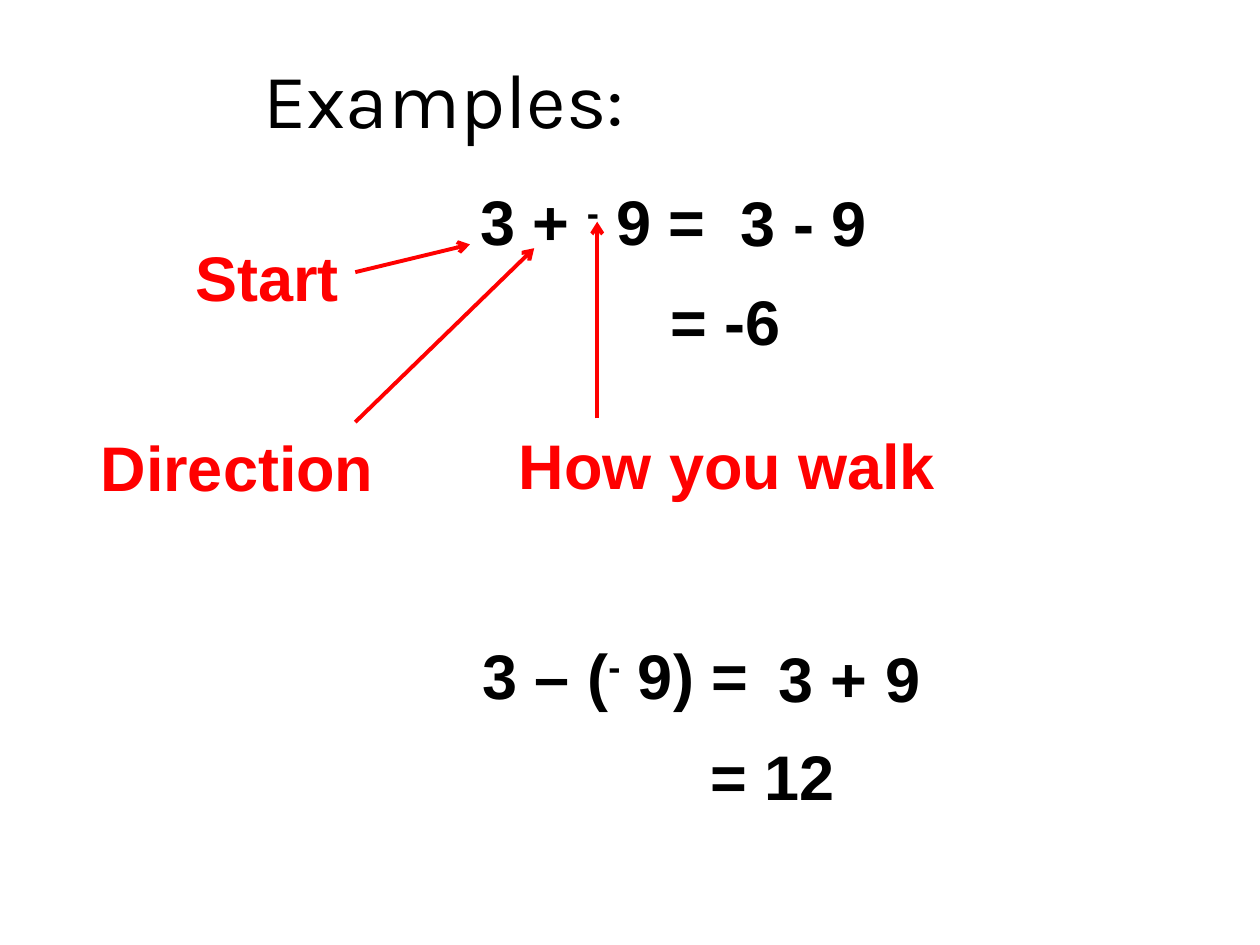
from lxml.etree import SubElement
from pptx import Presentation
from pptx.dml.color import RGBColor
from pptx.enum.shapes import MSO_CONNECTOR
from pptx.enum.text import MSO_ANCHOR, MSO_AUTO_SIZE, PP_ALIGN
from pptx.oxml.ns import qn
from pptx.util import Inches, Pt

BLACK = RGBColor(0x00, 0x00, 0x00)
RED = RGBColor(0xFF, 0x00, 0x00)

prs = Presentation()
prs.slide_width, prs.slide_height = Inches(10), Inches(7.5)
col, row = prs.slide_width / 100, prs.slide_height / 75
s = prs.slides.add_slide(prs.slide_layouts[1])


def place(sp, x, y, w, h):
    """Position a shape in grid columns and rows."""
    sp.left, sp.top = round(x * col), round(y * row)
    sp.width, sp.height = round(w * col), round(h * row)


def write(sp, text, color, size=36, font="Arial", bold=True):
    """Write one line; a part between bars is superscript."""
    tf = sp.text_frame
    tf.word_wrap = True
    tf.auto_size = MSO_AUTO_SIZE.NONE
    tf.vertical_anchor = MSO_ANCHOR.MIDDLE
    p = tf.paragraphs[0]
    p.alignment = PP_ALIGN.LEFT
    p.space_before = Pt(0)
    pPr = p._p.get_or_add_pPr()
    pPr.set("marL", "0")
    pPr.set("indent", "0")
    SubElement(pPr, qn("a:buNone"))
    for i, part in enumerate(text.split("|")):
        r = p.add_run()
        r.text = part
        r.font.size, r.font.name, r.font.bold = Pt(size), font, bold
        r.font.color.rgb = color
        if i % 2:
            r._r.get_or_add_rPr().set("baseline", "30000")


# Title and first expression
title, body = s.shapes.title, s.placeholders[1]
place(title, 19.9, 1.5, 53.8, 12.5)
write(title, "Examples:", BLACK, 44, "Karla", False)
place(body, 37.1, 13.6, 20.6, 7.7)
write(body, "3 + |-| 9 =", BLACK)

# Worked steps, then labels for the parts of the first expression
lines = [
    ("3 - 9", 57.8, 13.7, 16.8, BLACK),
    ("= -6", 52.2, 21.6, 16.8, BLACK),
    ("3 – (|-| 9) =", 37.3, 49.7, 24.6, BLACK),
    ("3 + 9", 60.8, 49.9, 16.8, BLACK),
    ("= 12", 55.4, 57.7, 16.8, BLACK),
    ("Start", 14.5, 18.1, 16.8, RED),
    ("Direction", 7, 33.2, 25.6, RED),
    ("How you walk", 40.2, 33, 37.4, RED),
]
for text, x, y, w, color in lines:
    box = s.shapes.add_textbox(0, 0, 0, 0)
    place(box, x, y, w, 7.7)
    write(box, text, color)

# Arrows from the labels to the expression
arrows = [
    (28.2, 21.6, 37.3, 19.4),
    (47.4, 33.2, 47.4, 17.6),
    (28.2, 33.5, 42.4, 19.7),
]
for x1, y1, x2, y2 in arrows:
    arrow = s.shapes.add_connector(
        MSO_CONNECTOR.STRAIGHT,
        round(x1 * col), round(y1 * row), round(x2 * col), round(y2 * row))
    arrow.line.color.rgb = RED
    arrow.line.width = Pt(2.25)
    SubElement(arrow.line._get_or_add_ln(), qn("a:tailEnd"), type="arrow")
    SubElement(arrow._element.spPr, qn("a:effectLst"))

prs.save("out.pptx")
